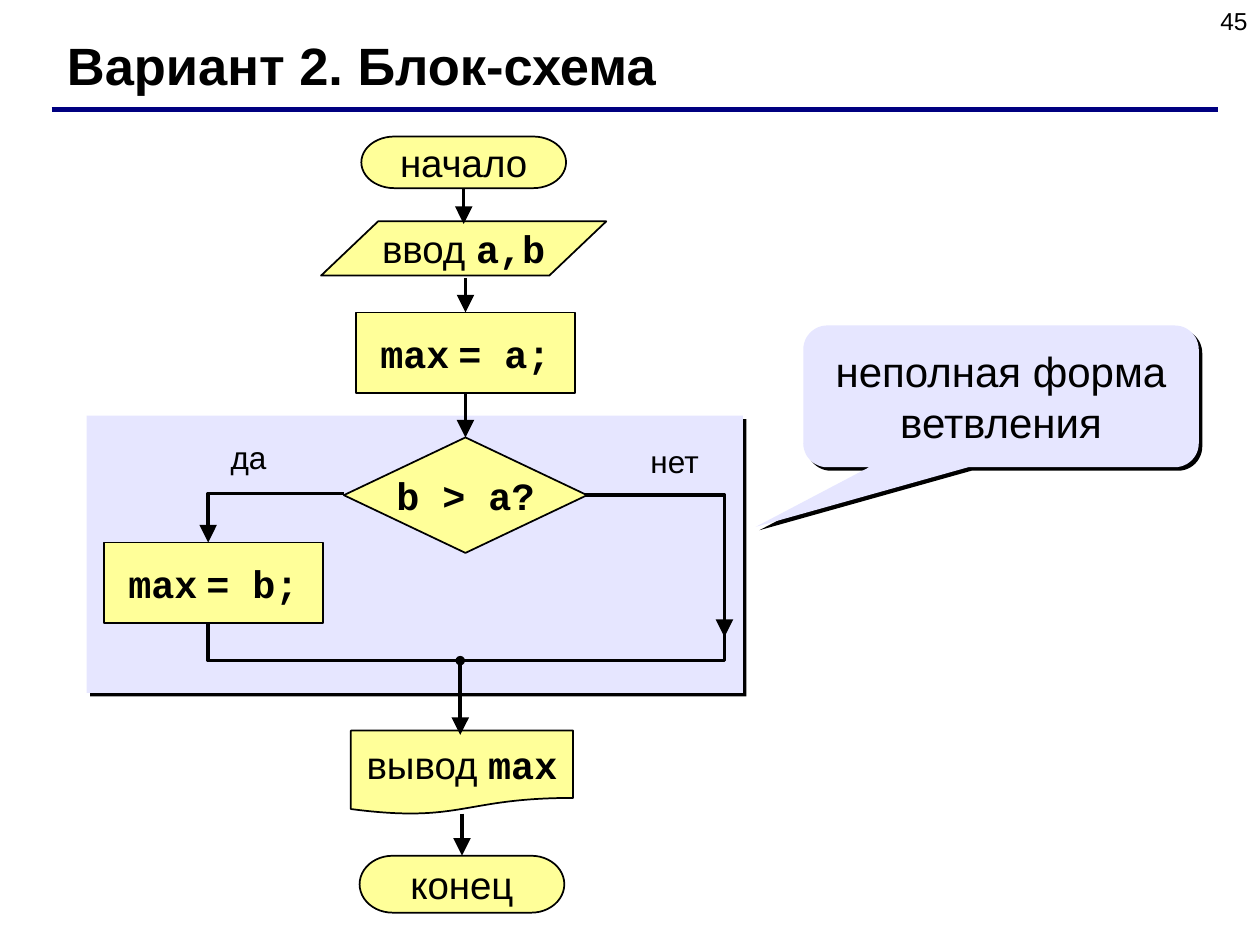
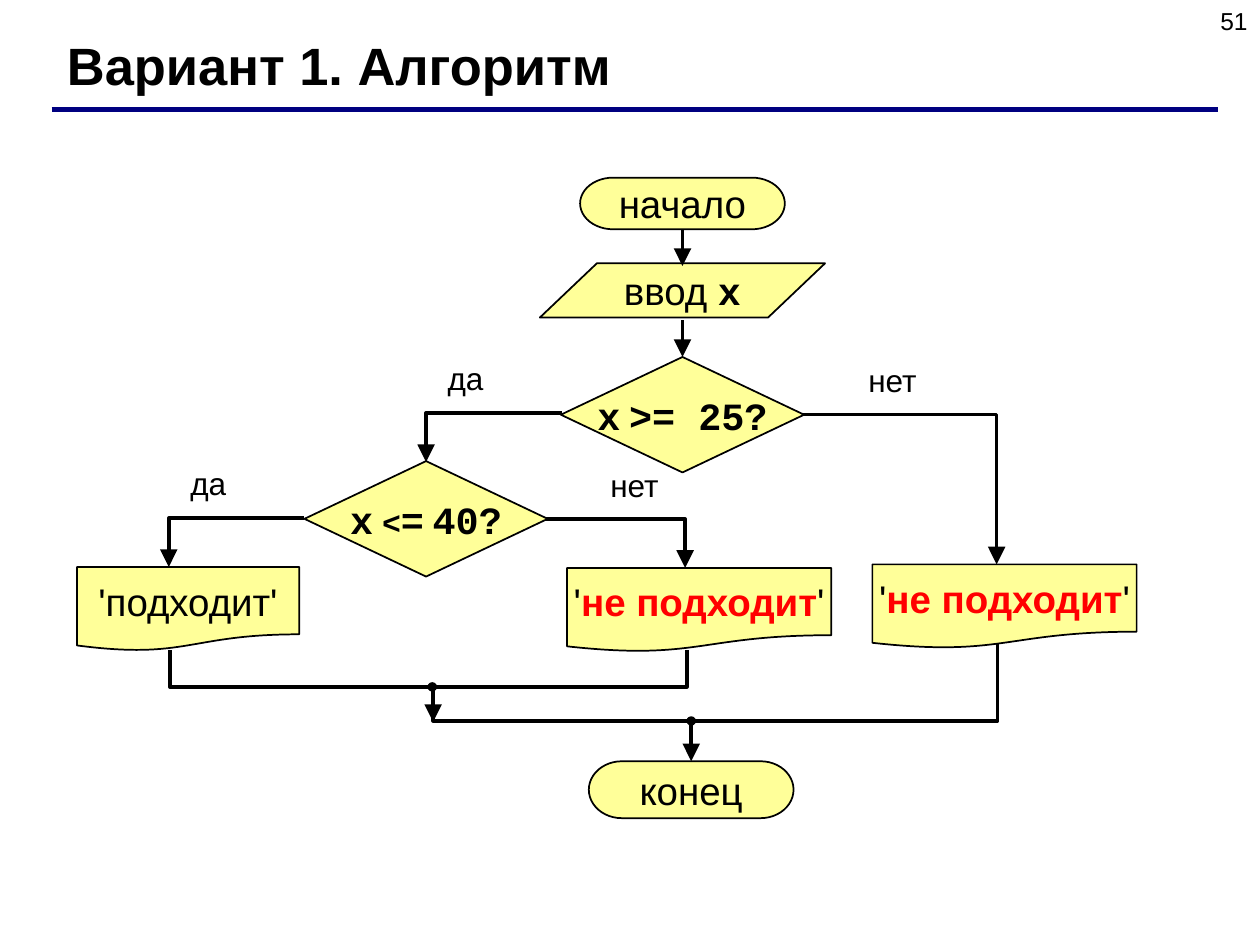
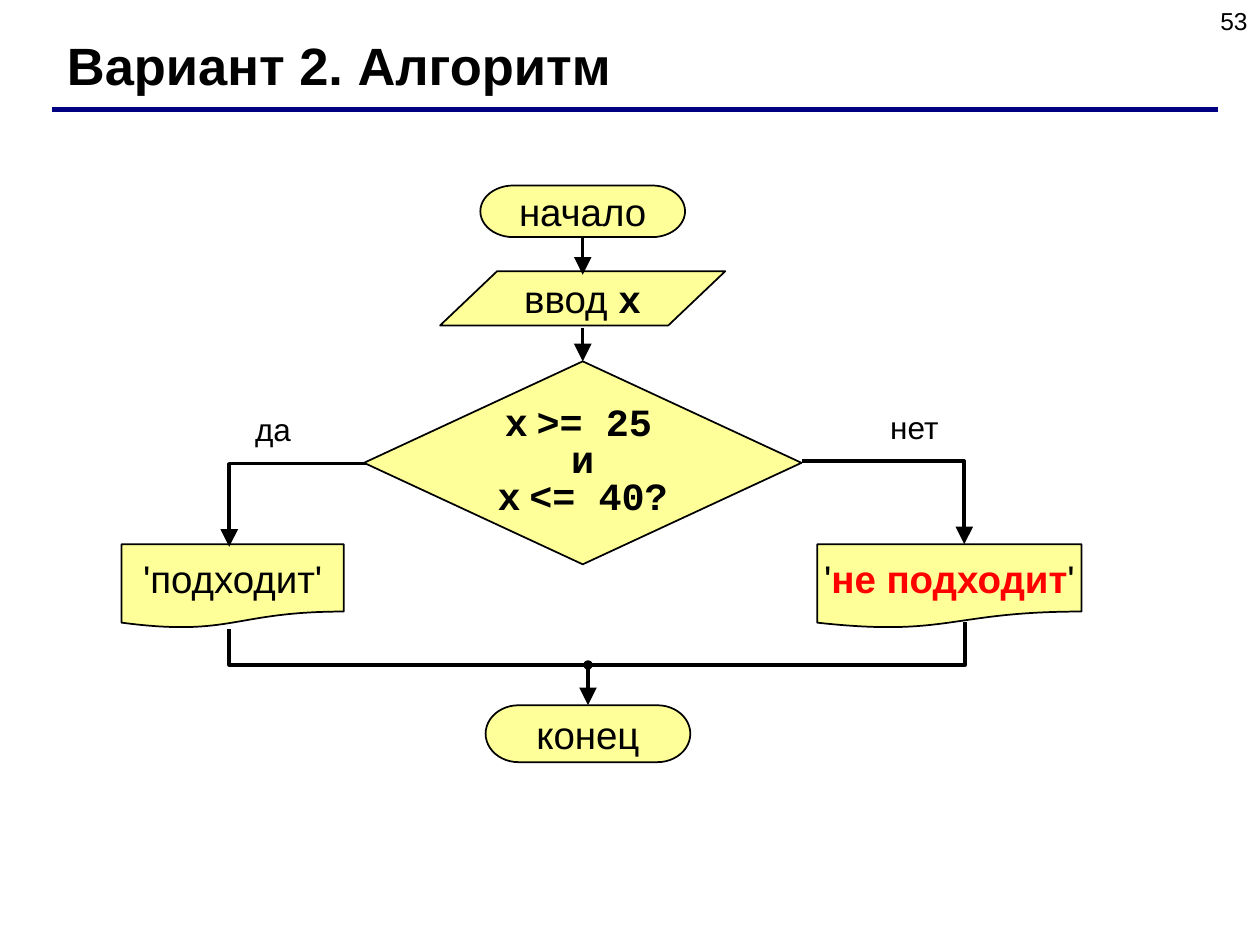
"""Builds three slides of branching flowcharts."""
from collections import namedtuple

from lxml import etree
from pptx import Presentation
from pptx.dml.color import RGBColor
from pptx.enum.shapes import MSO_CONNECTOR, MSO_SHAPE
from pptx.enum.text import MSO_ANCHOR, MSO_AUTO_SIZE, PP_ALIGN
from pptx.oxml.ns import qn
from pptx.util import Pt

BLACK = RGBColor(0x00, 0x00, 0x00)
NAVY = RGBColor(0x00, 0x00, 0x80)
RED = RGBColor(0xFF, 0x00, 0x00)
YELLOW = RGBColor(0xFF, 0xFF, 0x99)
LAVENDER = RGBColor(0xE6, 0xE6, 0xFF)

STRAIGHT = MSO_CONNECTOR.STRAIGHT
RECTANGLE = MSO_SHAPE.RECTANGLE
OVAL = MSO_SHAPE.OVAL
CALLOUT = MSO_SHAPE.ROUNDED_RECTANGULAR_CALLOUT
TERMINATOR = MSO_SHAPE.FLOWCHART_TERMINATOR
LEFT, CENTER, RIGHT = PP_ALIGN.LEFT, PP_ALIGN.CENTER, PP_ALIGN.RIGHT
TOP, MIDDLE = MSO_ANCHOR.TOP, MSO_ANCHOR.MIDDLE
NO_FIT = MSO_AUTO_SIZE.NONE
TITLE_ONLY = 5
TOP_SITE, BOTTOM_SITE = 0, 2

Node = namedtuple("Node", "kind width height")
START = Node(TERMINATOR, 117, 29.5)
END = Node(TERMINATOR, 117, 32.5)
INPUT = Node(MSO_SHAPE.FLOWCHART_DATA, 163, 31)
PROCESS = Node(RECTANGLE, 125, 46)
OUTPUT = Node(MSO_SHAPE.FLOWCHART_DOCUMENT, 127, 48)
WIDE_OUTPUT = OUTPUT._replace(width=151)
DECISION = Node(MSO_SHAPE.FLOWCHART_DECISION, 139, 66)
WIDE_DECISION = DECISION._replace(width=250, height=116)

TextStyle = namedtuple("TextStyle", "color values")


def text_style(size, name="Arial", bold=False, color=BLACK):
    return TextStyle(color, {"size": Pt(size), "name": name, "bold": bold})


TITLE = text_style(30, bold=True)
NUMBER = text_style(14)
REMARK = text_style(24)
LABEL = text_style(18)
PLAIN = text_style(22)
ALERT = text_style(22, bold=True, color=RED)
CODE = text_style(22, "Courier New", True)
SMALL_CODE = text_style(18, "Courier New", True)
GAP = (" ", LABEL)
BREAK = ("\n", None)

BOX_FRAME = {"word_wrap": True, "auto_size": NO_FIT, "vertical_anchor": TOP}
NODE_FRAME = {"word_wrap": False, "vertical_anchor": MIDDLE}
REMARK_FRAME = {"word_wrap": True, "vertical_anchor": MIDDLE}

START_TEXT = [("начало", PLAIN)]
END_TEXT = [("конец", PLAIN)]
GOOD_TEXT = [("'подходит'", PLAIN)]
BAD_TEXT = [("'", PLAIN), ("не подходит", ALERT), ("'", PLAIN)]
INPUT_X_TEXT = [("ввод ", PLAIN), ("x", CODE)]


def set_values(target, values):
    for name, value in values.items():
        setattr(target, name, value)


class Flowchart:
    """Holds the presentation style and draws on the current slide."""

    def __init__(self):
        self.presentation = Presentation()
        set_values(self.presentation, {"slide_width": Pt(720), "slide_height": Pt(540)})
        self.slide = None

    def start_slide(self, title, number):
        layout = self.presentation.slide_layouts[TITLE_ONLY]
        self.slide = self.presentation.slides.add_slide(layout)
        heading = self.slide.shapes.title
        set_values(heading, {"left": Pt(31), "top": Pt(15), "width": Pt(641), "height": Pt(43)})
        self.set_text(heading, [[(title, TITLE)]], BOX_FRAME, LEFT)
        self.text_box(552, 0, 168, 37, number, NUMBER, RIGHT)
        self.line(29.5, 62.5, 696, 62.5, NAVY, 3)

    def set_text(self, shape, paragraphs, frame_values, alignment=CENTER, spacing=None):
        frame = shape.text_frame
        set_values(frame, frame_values)
        for index, runs in enumerate(paragraphs):
            paragraph = frame.add_paragraph() if index else frame.paragraphs[0]
            set_values(paragraph, {"alignment": alignment, "line_spacing": spacing})
            for text, style in runs:
                if style is None:
                    paragraph.add_line_break()
                    continue
                run = paragraph.add_run()
                run.text = text
                set_values(run.font, style.values)
                run.font.color.rgb = style.color

    def text_box(self, left, top, width, height, text, style, alignment=CENTER):
        box = self.slide.shapes.add_textbox(Pt(left), Pt(top), Pt(width), Pt(height))
        self.set_text(box, [[(text, style)]], BOX_FRAME, alignment)

    def label(self, left, top, text):
        self.text_box(left, top, 54, 29, text, LABEL)

    def shape(self, kind, left, top, width, height, fill, outline=BLACK):
        shape = self.slide.shapes.add_shape(kind, Pt(left), Pt(top), Pt(width), Pt(height))
        shape.shadow.inherit = False
        shape.fill.solid()
        shape.fill.fore_color.rgb = fill
        if outline is None:
            shape.line.fill.background()
        else:
            self.stroke(shape, outline, 1)
        return shape

    def stroke(self, shape, color, width, arrow=False):
        shape.line.color.rgb = color
        shape.line.width = Pt(width)
        if arrow:
            outline = shape.element.spPr.find(qn("a:ln"))
            etree.SubElement(outline, qn("a:tailEnd"), type="triangle", w="lg", len="lg")

    def node(self, node, center, top, *paragraphs, spacing=None):
        left = center - node.width / 2
        shape = self.shape(node.kind, left, top, node.width, node.height, YELLOW)
        self.set_text(shape, paragraphs, NODE_FRAME, spacing=spacing)
        return shape

    def dot(self, center, middle):
        self.shape(OVAL, center - 2.2, middle - 2.2, 4.4, 4.4, BLACK)

    def panel(self, kind, left, top, width, height):
        panel = self.shape(kind, left, top, width, height, LAVENDER, None)
        effects = panel.element.spPr.find(qn("a:effectLst"))
        shadow = etree.SubElement(effects, qn("a:outerShdw"), dist=str(Pt(2.8)),
                                  dir="2700000", algn="ctr", rotWithShape="0")
        etree.SubElement(shadow, qn("a:srgbClr"), val=str(BLACK))
        return panel

    def line(self, left, top, right, bottom, color, width, arrow=False):
        line = self.slide.shapes.add_connector(
            STRAIGHT, Pt(left), Pt(top), Pt(right), Pt(bottom))
        self.stroke(line, color, width, arrow)
        etree.SubElement(line.element.spPr, qn("a:effectLst"))
        return line

    def arrow(self, center, top, bottom, source=None, target=None):
        line = self.line(center, top, center, bottom, BLACK, 2, True)
        if source is not None:
            line.begin_connect(source, BOTTOM_SITE)
        if target is not None:
            line.end_connect(target, TOP_SITE)

    def polyline(self, points, arrow=False):
        start, *others = [(Pt(x), Pt(y)) for x, y in points]
        builder = self.slide.shapes.build_freeform(*start)
        builder.add_line_segments(others, close=False)
        shape = builder.convert_to_shape()
        shape.shadow.inherit = False
        shape.fill.background()
        self.stroke(shape, BLACK, 2, arrow)

    def branch(self, start, level, end, bottom):
        self.polyline([(start, level), (end, level), (end, bottom)], True)

    def merge(self, left, left_top, level, right, right_top):
        self.polyline([(left, left_top), (left, level), (right, level), (right, right_top)])


def draw_incomplete_branch(chart):
    chart.start_slide("Вариант 2. Блок-схема", "45")
    chart.panel(RECTANGLE, 49.5, 237.5, 375, 158.5)
    callout = chart.panel(CALLOUT, 459, 186, 226, 81)
    for index, value in enumerate((-0.62, 0.92, 0.17)):
        callout.adjustments[index] = value
    chart.set_text(callout, [[("неполная форма ветвления", REMARK)]], REMARK_FRAME)
    start = chart.node(START, 265, 78, START_TEXT)
    first = chart.node(PROCESS, 266, 178.5, [("max", CODE), GAP, ("= a;", CODE)])
    chart.node(INPUT, 265, 126.5, [("ввод ", PLAIN), ("a,b", CODE)])
    chart.node(OUTPUT, 264, 417.5, [("вывод ", PLAIN), ("max", CODE)])
    chart.arrow(265, 107.5, 128, source=start)
    chart.arrow(266, 159, 178.5, target=first)
    chart.node(PROCESS, 122, 310, [("max", CODE), GAP, ("= b;", CODE)])
    end = chart.node(END, 264, 489, END_TEXT)
    chart.arrow(264, 465, 489, target=end)
    chart.branch(196.5, 282, 119, 310)
    chart.branch(330, 283, 414, 364)
    chart.merge(119, 356, 377.5, 414, 357)
    chart.arrow(263, 379, 420)
    chart.dot(263, 377.5)
    chart.label(115, 247, "да")
    chart.label(358.5, 249, "нет")
    decision = chart.node(DECISION, 266, 250, [("b > a?", CODE)])
    chart.arrow(266, 224.5, 250, source=first, target=decision)


def draw_nested_branches(chart):
    chart.start_slide("Вариант 1. Алгоритм", "51")
    start = chart.node(START, 390, 101.5, START_TEXT)
    chart.node(INPUT, 390, 150.5, INPUT_X_TEXT)
    chart.node(OUTPUT, 107.5, 324, GOOD_TEXT)
    chart.arrow(390, 131, 152, source=start)
    end = chart.node(END, 395, 435, END_TEXT)
    chart.arrow(395, 412, 435, target=end)
    chart.merge(97, 371.5, 392.5, 392.5, 371.5)
    chart.arrow(247.5, 394, 412.5)
    chart.dot(247, 392.5)
    chart.branch(321, 236, 243.5, 264)
    chart.branch(454, 237, 569.5, 322.5)
    chart.label(239, 201.5, "да")
    chart.label(483, 203, "нет")
    upper = chart.node(DECISION, 390, 204, [("x", CODE), GAP, (">= 25?", CODE)])
    chart.arrow(390, 183, 204, target=upper)
    chart.branch(174, 296, 96.5, 324)
    chart.branch(307, 296.5, 391.5, 324.5)
    chart.label(92, 261.5, "да")
    chart.label(335.5, 263, "нет")
    chart.node(DECISION, 243.5, 263.5, [
        ("x", CODE), GAP, ("<", SMALL_CODE), ("=", CODE), GAP, ("40?", CODE)])
    chart.node(WIDE_OUTPUT, 399.5, 324.5, BAD_TEXT)
    chart.node(WIDE_OUTPUT, 574, 322.5, BAD_TEXT)
    chart.merge(247.5, 391, 412, 570, 368)
    chart.dot(395, 412)


def draw_compound_condition(chart):
    chart.start_slide("Вариант 2. Алгоритм", "53")
    start = chart.node(START, 333, 106, START_TEXT)
    chart.node(INPUT, 333, 155, INPUT_X_TEXT)
    chart.node(OUTPUT, 133, 311, GOOD_TEXT)
    chart.arrow(333, 135.5, 157, source=start)
    chart.branch(209, 265, 131, 312.5)
    chart.branch(458.5, 263.5, 551, 311)
    chart.label(129, 231, "да")
    chart.label(495.5, 229.5, "нет")
    decision = chart.node(
        WIDE_DECISION, 333, 206.5,
        [("x", CODE), GAP, (">= 25", CODE), GAP, BREAK, ("и", CODE)],
        [("x", CODE), GAP, ("<= 40?", CODE)], spacing=0.8)
    chart.arrow(333, 187.5, 206.5, target=decision)
    chart.node(WIDE_OUTPUT, 542.5, 311, BAD_TEXT)
    chart.merge(131, 359.5, 380, 551.5, 355.5)
    end = chart.node(END, 336, 403, END_TEXT)
    chart.arrow(336, 380, 403, target=end)
    chart.dot(336, 380)


def main():
    chart = Flowchart()
    draw_incomplete_branch(chart)
    draw_nested_branches(chart)
    draw_compound_condition(chart)
    chart.presentation.save("out.pptx")


if __name__ == "__main__":
    main()
